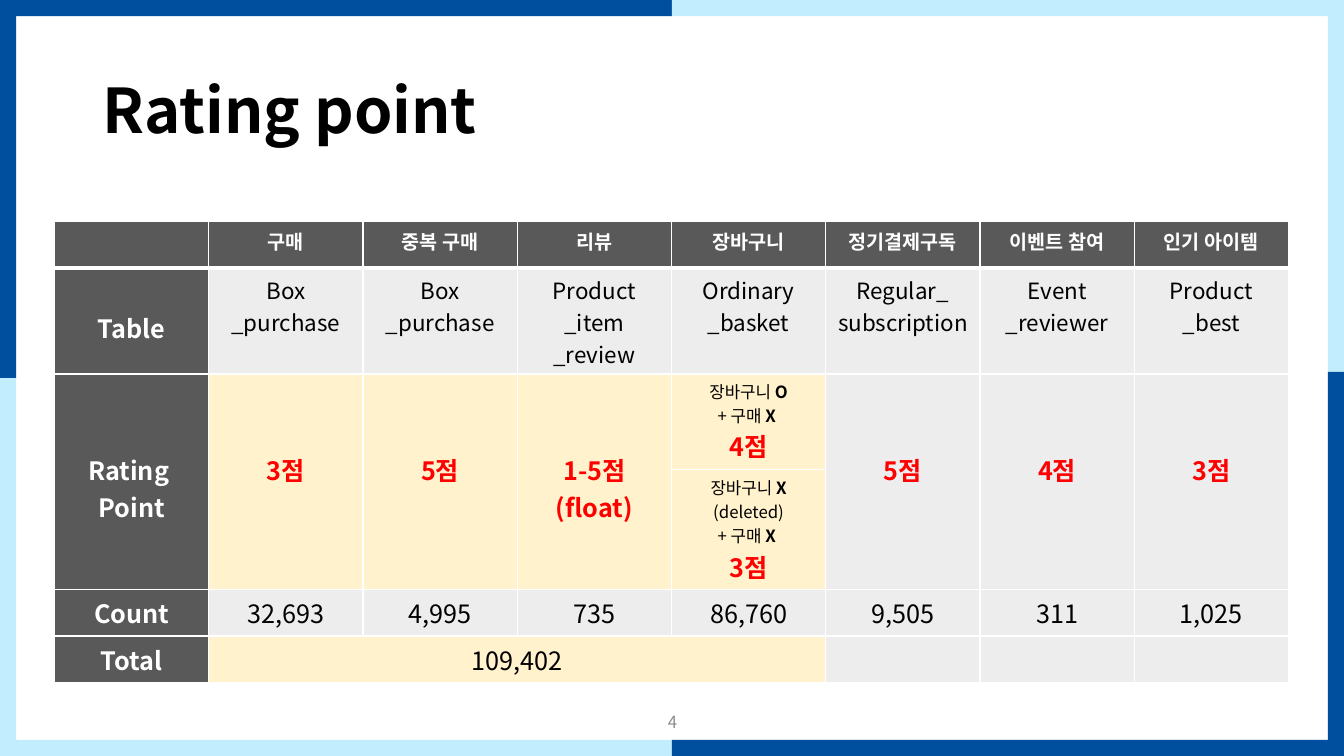
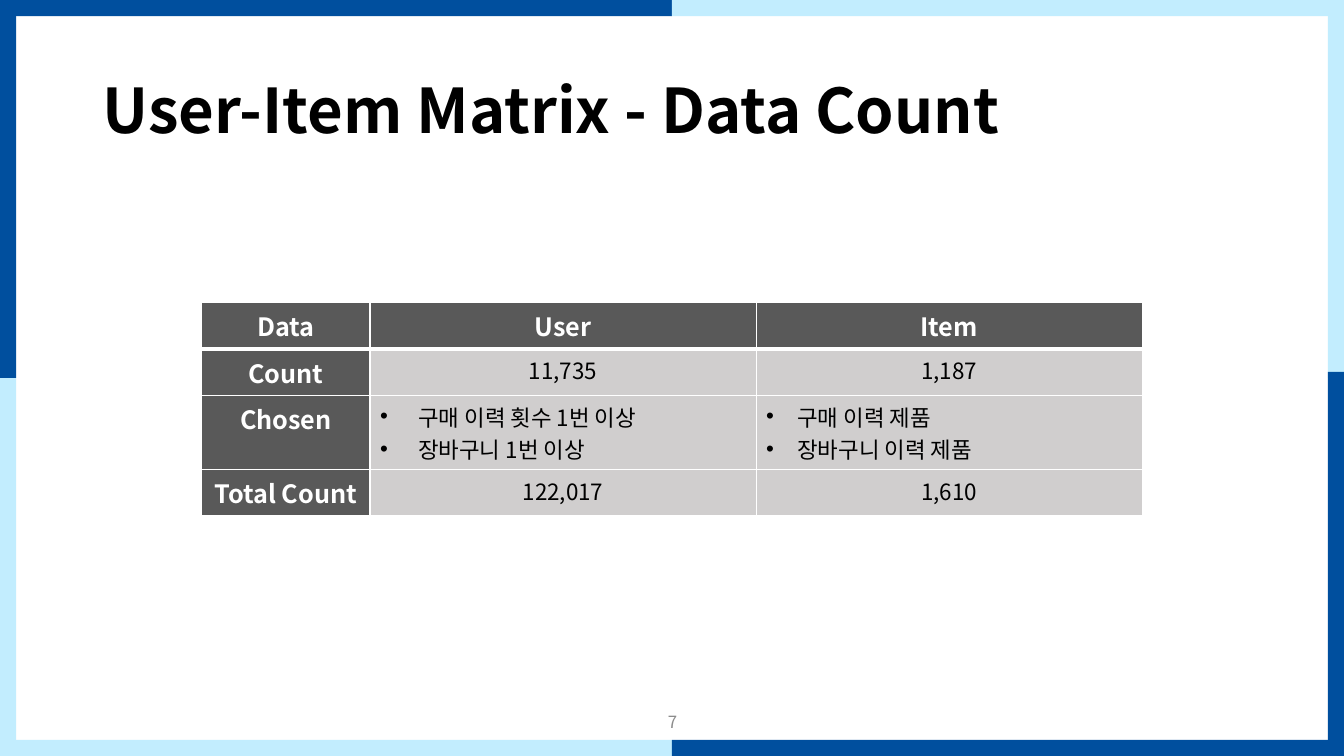
from dataclasses import dataclass
from lxml.etree import SubElement
from pptx import Presentation
from pptx.dml.color import RGBColor
from pptx.enum.shapes import MSO_SHAPE
from pptx.enum.text import MSO_ANCHOR, PP_ALIGN
from pptx.oxml.ns import qn
from pptx.util import Inches, Pt


@dataclass(frozen=True)
class TextStyle:
    size: int
    color: str
    bold: bool = False


class Theme:
    font = "Noto Sans CJK KR"
    navy = "004F9E"
    sky = "C2EDFE"
    white = "FFFFFF"
    label_fill = "595959"
    pale_gray = "EDEDED"
    gray = "D0CECE"
    cream = "FFF2CC"
    border = 1
    header_border = 3
    title = TextStyle(44, "000000", True)
    page_number = TextStyle(12, "8C8C8C")
    small_header = TextStyle(14, "FFFFFF", True)
    label = TextStyle(18, "FFFFFF", True)
    body = TextStyle(16, "000000")
    number = TextStyle(18, "000000")
    score = TextStyle(18, "FF0000", True)
    note = TextStyle(12, "000000")
    note_bold = TextStyle(12, "000000", True)


IN_BASKET = (
    (("장바구니 ", Theme.note), ("O", Theme.note_bold)),
    (("+ 구매 ", Theme.note), ("X ", Theme.note_bold)),
    (("4점", Theme.score),),
)
DELETED_FROM_BASKET = (
    (("장바구니 ", Theme.note), ("X ", Theme.note_bold), ("(deleted)", Theme.note)),
    (("+ 구매 ", Theme.note), ("X ", Theme.note_bold)),
    (("3점", Theme.score),),
)

RATING_TABLE = {
    "left": 0.54,
    "top": 2.2,
    "columns": [1.53] * 8,
    "heights": [0.46, 1.05, 0.95, 1.19, 0.46, 0.46],
    "fill": Theme.pale_gray,
    "header": Theme.small_header,
    "row_styles": [None, Theme.body, Theme.score, Theme.score, Theme.number, Theme.number],
    "rows": [
        ["", "구매", "중복 구매", "리뷰", "장바구니", "정기결제구독", "이벤트 참여", "인기 아이템"],
        ["Table", "Box\n_purchase", "Box\n_purchase", "Product\n_item\n_review",
         "Ordinary\n_basket", "Regular_\nsubscription", "Event\n_reviewer", "Product\n_best"],
        ["Rating \nPoint", "3점", "5점", "1-5점\n(float)", IN_BASKET, "5점", "4점", "3점"],
        ["", "", "", "", DELETED_FROM_BASKET, "", "", ""],
        ["Count", "32,693", "4,995", "735", "86,760", "9,505", "311", "1,025"],
        ["Total", "109,402", "", "", "", "", "", ""],
    ],
    "merges": [((2, column), (3, column)) for column in (0, 1, 2, 3, 5, 6, 7)]
    + [((5, 1), (5, 4))],
    "highlighted": {(row, column) for row in (2, 3, 5) for column in range(1, 5)},
    "top_margins": {(1, 0): 0.41, **{(2, column): 0.77 for column in (0, 1, 2, 3, 5, 6, 7)}},
    "bullet_indents": {},
}

COUNT_TABLE = {
    "left": 2,
    "top": 3,
    "columns": [1.67, 3.83, 3.83],
    "heights": [0.46, 0.46, 0.74, 0.46],
    "fill": Theme.gray,
    "header": Theme.label,
    "row_styles": [None, Theme.body, Theme.body, Theme.body],
    "rows": [
        ["Data", "User", "Item"],
        ["Count", "11,735", "1,187"],
        ["Chosen", "구매 이력 횟수 1번 이상\n장바구니 1번 이상", "구매 이력 제품\n장바구니 이력 제품"],
        ["Total Count", "122,017", "1,610"],
    ],
    "merges": [],
    "highlighted": set(),
    "top_margins": {},
    "bullet_indents": {(2, 1): 0.38, (2, 2): 0.31},
}

SLIDES = [
    ("Rating point", "4", RATING_TABLE),
    ("User-Item Matrix - Data Count", "7", COUNT_TABLE),
]

WIDTH, HEIGHT, BAND = 13.33, 7.5, 0.16
HALF_WIDTH, HALF_HEIGHT = WIDTH / 2, HEIGHT / 2
FRAME_BANDS = [
    (0, 0, HALF_WIDTH, BAND, Theme.navy),
    (HALF_WIDTH, 0, HALF_WIDTH, BAND, Theme.sky),
    (0, HEIGHT - BAND, HALF_WIDTH, BAND, Theme.sky),
    (HALF_WIDTH, HEIGHT - BAND, HALF_WIDTH, BAND, Theme.navy),
    (0, 0, BAND, HALF_HEIGHT, Theme.navy),
    (0, HALF_HEIGHT, BAND, HALF_HEIGHT, Theme.sky),
    (WIDTH - BAND, 0, BAND, HALF_HEIGHT, Theme.sky),
    (WIDTH - BAND, 3.69, BAND, HEIGHT - 3.69, Theme.navy),
]


def add_run(paragraph, text, style):
    run = paragraph.add_run()
    run.text = text
    run.font.name = Theme.font
    run.font.size = Pt(style.size)
    run.font.bold = style.bold
    run.font.color.rgb = RGBColor.from_string(style.color)
    SubElement(run.font._element, qn("a:ea"), typeface=Theme.font)


def add_text(slide, box, text, style, alignment, line_spacing=1.0):
    shape = slide.shapes.add_textbox(*map(Inches, box))
    frame = shape.text_frame
    frame.word_wrap = True
    frame.vertical_anchor = MSO_ANCHOR.MIDDLE
    paragraph = frame.paragraphs[0]
    paragraph.alignment = alignment
    paragraph.line_spacing = line_spacing
    add_run(paragraph, text, style)


def add_frame(slide):
    for left, top, width, height, color in FRAME_BANDS:
        shape = slide.shapes.add_shape(
            MSO_SHAPE.RECTANGLE, Inches(left), Inches(top), Inches(width), Inches(height))
        shape.shadow.inherit = False
        shape.fill.solid()
        shape.fill.fore_color.rgb = RGBColor.from_string(color)
        shape.line.fill.background()


def set_borders(cell, row):
    properties = cell._tc.get_or_add_tcPr()
    widths = {
        "a:lnL": Theme.border,
        "a:lnR": Theme.border,
        "a:lnT": Theme.header_border if row == 1 else Theme.border,
        "a:lnB": Theme.header_border if row == 0 else Theme.border,
    }
    for position, (tag, width) in enumerate(widths.items()):
        line = SubElement(properties, qn(tag), w=str(Pt(width)))
        fill = SubElement(line, qn("a:solidFill"))
        SubElement(fill, qn("a:srgbClr"), val=Theme.white)
        properties.insert(position, line)


def set_bullet(paragraph, indent):
    properties = paragraph._p.get_or_add_pPr()
    properties.set("marL", str(Inches(indent)))
    properties.set("indent", str(-Inches(indent)))
    SubElement(properties, qn("a:buFont"), typeface="Arial")
    SubElement(properties, qn("a:buChar"), char="•")


def fill_cell(cell, content, style, indent):
    if not content:
        return
    if isinstance(content, str):
        content = [[(line, style)] for line in content.split("\n")]
    frame = cell.text_frame
    for index, runs in enumerate(content):
        paragraph = frame.add_paragraph() if index else frame.paragraphs[0]
        if indent:
            set_bullet(paragraph, indent)
        else:
            paragraph.alignment = PP_ALIGN.CENTER
        for text, run_style in runs:
            add_run(paragraph, text, run_style)


def cell_look(data, row, column):
    if row == 0:
        return data["header"], Theme.label_fill
    if column == 0:
        return Theme.label, Theme.label_fill
    highlighted = (row, column) in data["highlighted"]
    return data["row_styles"][row], Theme.cream if highlighted else data["fill"]


def add_data_table(slide, data):
    columns, heights = data["columns"], data["heights"]
    frame = slide.shapes.add_table(
        len(heights), len(columns), Inches(data["left"]), Inches(data["top"]),
        Inches(sum(columns)), Inches(sum(heights)))
    table = frame.table
    table.first_row = False
    table.horz_banding = False
    for column, width in zip(table.columns, columns):
        column.width = Inches(width)
    for row, height in zip(table.rows, heights):
        row.height = Inches(height)
    for row, contents in enumerate(data["rows"]):
        for column, content in enumerate(contents):
            cell = table.cell(row, column)
            style, color = cell_look(data, row, column)
            cell.fill.solid()
            cell.fill.fore_color.rgb = RGBColor.from_string(color)
            cell.margin_top = Inches(data["top_margins"].get((row, column), 0.05))
            set_borders(cell, row)
            fill_cell(cell, content, style, data["bullet_indents"].get((row, column)))
    for start, end in data["merges"]:
        table.cell(*start).merge(table.cell(*end))


def main():
    presentation = Presentation()
    presentation.slide_width = Inches(WIDTH)
    presentation.slide_height = Inches(HEIGHT)
    for title, number, data in SLIDES:
        slide = presentation.slides.add_slide(presentation.slide_layouts[6])
        add_frame(slide)
        add_text(slide, (0.92, 0.4, 11.5, 1.45), title, Theme.title, PP_ALIGN.LEFT, 0.9)
        add_data_table(slide, data)
        add_text(slide, (5.17, 6.96, 3, 0.4), number, Theme.page_number, PP_ALIGN.CENTER)
    presentation.save("out.pptx")


if __name__ == "__main__":
    main()
